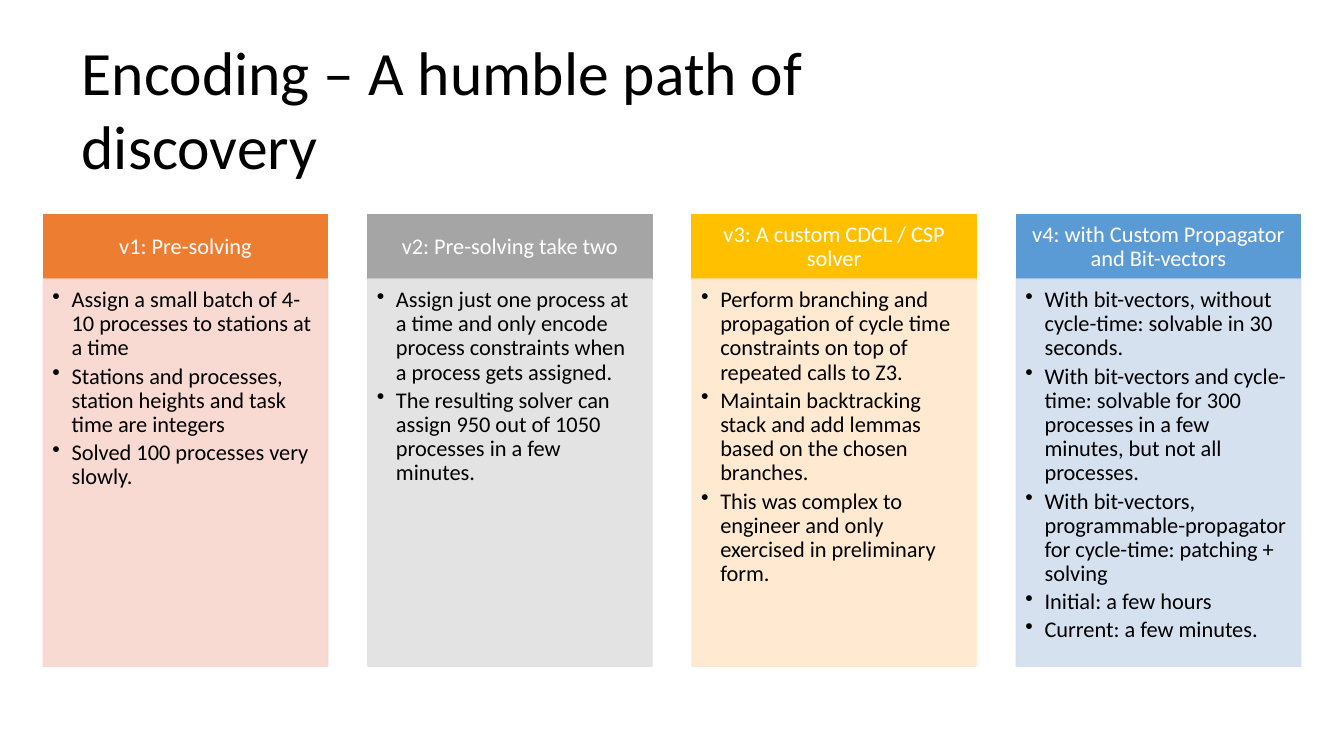
from lxml.etree import SubElement
from pptx import Presentation
from pptx.dml.color import RGBColor
from pptx.enum.shapes import MSO_SHAPE
from pptx.enum.text import MSO_ANCHOR, MSO_AUTO_SIZE, PP_ALIGN
from pptx.oxml.ns import qn
from pptx.util import Inches, Pt

FONT = "Calibri"
TITLE = "Encoding – A humble path of discovery"
HEADER_HEIGHT = 0.64
COLUMN_WIDTH = 2.82
HEADER_INSETS = (0.12, 0.07, 0.12, 0.07)
BODY_INSETS = (0.09, 0.09, 0.12, 0.14)

VERSIONS = [
    ("v1: Pre-solving", "ED7D31", "F8D7CE", [
        "Assign a small batch of 4-10 processes to stations at a time",
        "Stations and processes, station heights and task time are integers",
        "Solved 100 processes very slowly.",
    ]),
    ("v2: Pre-solving take two", "A5A5A5", "E1E1E1", [
        "Assign just one process at a time and only encode process constraints "
        "when a process gets assigned.",
        "The resulting solver can assign 950 out of 1050 processes in a few minutes.",
    ]),
    ("v3: A custom CDCL / CSP solver", "FFC000", "FFE8CC", [
        "Perform branching and propagation of cycle time constraints on top of "
        "repeated calls to Z3.",
        "Maintain backtracking stack and add lemmas based on the chosen branches.",
        "This was complex to engineer and only exercised in preliminary form.",
    ]),
    ("v4: with Custom Propagator and Bit-vectors", "5B9BD5", "D2DEEF", [
        "With bit-vectors, without cycle-time: solvable in 30 seconds.",
        "With bit-vectors and cycle-time: solvable for 300 processes in a few "
        "minutes, but not all processes.",
        "With bit-vectors, programmable-propagator for cycle-time: patching + solving",
        "Initial: a few hours",
        "Current: a few minutes.",
    ]),
]


def color(hex_code):
    return RGBColor.from_string(hex_code)


def write(paragraph, text, size=16, ink="000000", align=PP_ALIGN.LEFT,
          spacing=0.9, after=0, bullet=False):
    if bullet:
        properties = paragraph._p.get_or_add_pPr()
        properties.set("marL", str(Inches(0.19)))
        properties.set("indent", str(-Inches(0.19)))
        SubElement(properties, qn("a:buChar"), char="•")
    paragraph.alignment = align
    paragraph.line_spacing = spacing
    paragraph.space_after = Pt(after)
    span = paragraph.add_run()
    span.text = text
    span.font.name = FONT
    span.font.size = Pt(size)
    span.font.color.rgb = color(ink)


def set_opacity(fill_format, percent):
    """Make a solid fill, of a shape or of its line, partly transparent."""
    swatch = fill_format._xPr.find(qn("a:solidFill"))[0]
    SubElement(swatch, qn("a:alpha"), val=str(percent * 1000))


def add_panel(page, left, top, width, height, fill, insets, anchor, opacity=100):
    """Add a filled rectangle and return its text frame."""
    panel = page.shapes.add_shape(
        MSO_SHAPE.RECTANGLE, Inches(left), Inches(top), Inches(width), Inches(height))
    panel.shadow.inherit = False
    panel.line.width = Pt(1)
    for fill_format in (panel.fill, panel.line.fill):
        fill_format.solid()
        fill_format.fore_color.rgb = color(fill)
        if opacity < 100:
            set_opacity(fill_format, opacity)
    frame = panel.text_frame
    frame.word_wrap = True
    frame.vertical_anchor = anchor
    (frame.margin_left, frame.margin_top,
     frame.margin_right, frame.margin_bottom) = map(Inches, insets)
    return frame


def add_title(page, left, top, width, height):
    title = page.shapes.title
    title.left, title.top = Inches(left), Inches(top)
    title.width, title.height = Inches(width), Inches(height)
    frame = title.text_frame
    frame.word_wrap = True
    frame.auto_size = MSO_AUTO_SIZE.NONE
    frame.vertical_anchor = MSO_ANCHOR.MIDDLE
    write(frame.paragraphs[0], TITLE, size=44, spacing=1.0)


def add_version(page, left, top, width, height, version):
    """Add one column: a coloured heading above a tinted bullet list."""
    heading, accent, tint, points = version
    header = add_panel(page, left, top, width, HEADER_HEIGHT, accent,
                       HEADER_INSETS, MSO_ANCHOR.MIDDLE)
    write(header.paragraphs[0], heading, ink="FFFFFF", align=PP_ALIGN.CENTER)
    body = add_panel(page, left, top + HEADER_HEIGHT, width, height - HEADER_HEIGHT,
                     tint, BODY_INSETS, MSO_ANCHOR.TOP, opacity=90)
    for index, point in enumerate(points):
        paragraph = body.add_paragraph() if index else body.paragraphs[0]
        write(paragraph, point, after=2.9, bullet=True)


def add_versions(page, left, top, width, height):
    pitch = (width - COLUMN_WIDTH) / (len(VERSIONS) - 1)
    for index, version in enumerate(VERSIONS):
        add_version(page, left + index * pitch, top, COLUMN_WIDTH, height, version)


def main():
    deck = Presentation()
    deck.slide_width, deck.slide_height = Inches(13.33), Inches(7.5)
    page = deck.slides.add_slide(deck.slide_layouts[5])
    add_title(page, 0.71, 0.6, 9.83, 0.94)
    add_versions(page, 0.43, 2.13, 12.47, 4.48)
    deck.save("out.pptx")


if __name__ == "__main__":
    main()
